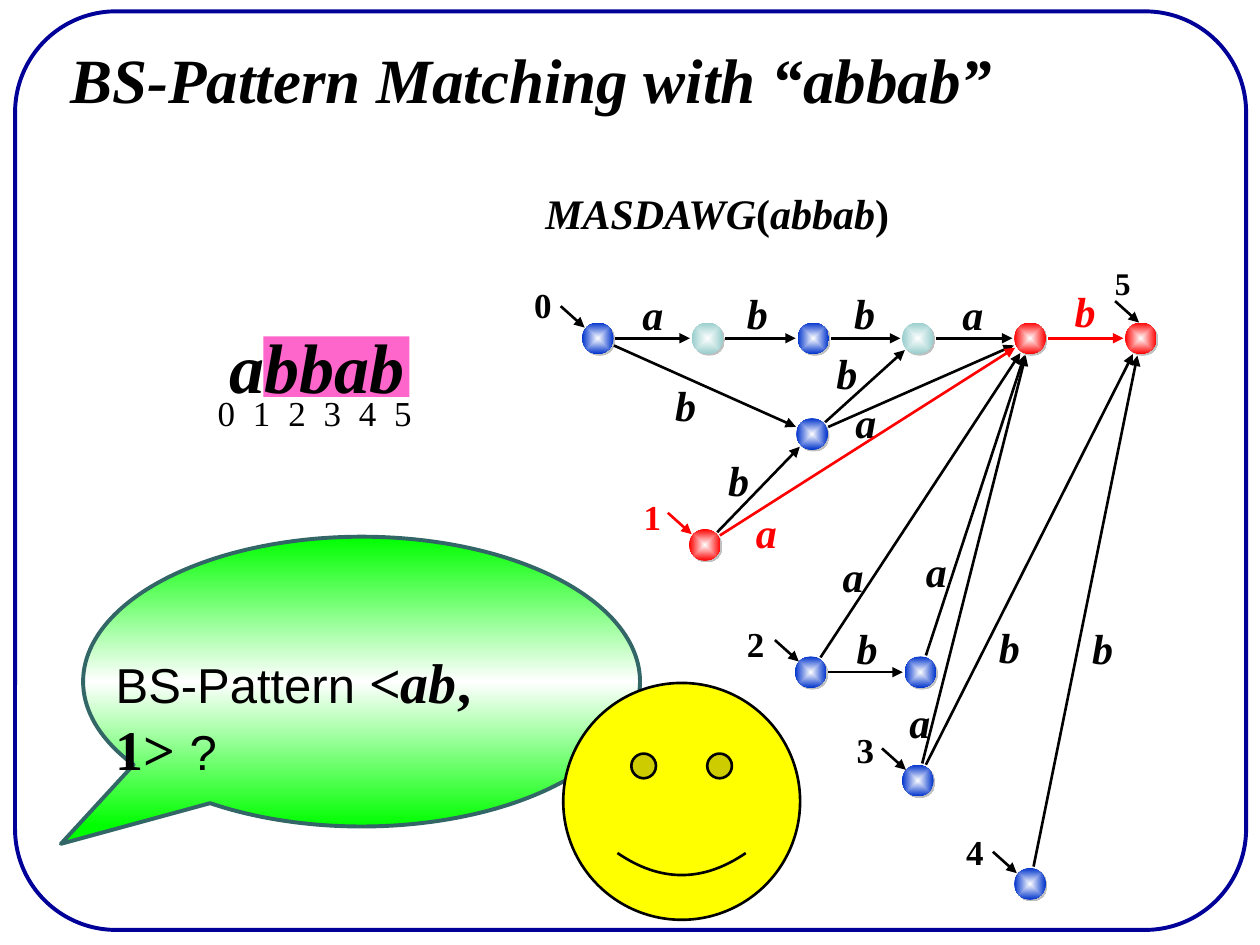
from math import hypot
from lxml.etree import SubElement
from pptx import Presentation
from pptx.dml.color import RGBColor
from pptx.enum.shapes import MSO_CONNECTOR, MSO_SHAPE
from pptx.enum.text import MSO_AUTO_SIZE
from pptx.oxml import parse_xml
from pptx.oxml.ns import nsdecls, qn
from pptx.util import Inches, Pt

BLACK = RGBColor(0, 0, 0)
WHITE = RGBColor(255, 255, 255)
RED = RGBColor(255, 0, 0)
BLUE = RGBColor(0, 0x33, 0xCC)
TEAL = RGBColor(0x97, 0xCD, 0xCC)
NAVY = RGBColor(0, 0, 0x99)
PINK = RGBColor(0xFF, 0x66, 0xCC)
GREEN = RGBColor(0, 255, 0)
SPRUCE = RGBColor(0x33, 0x66, 0x66)
YELLOW = RGBColor(255, 255, 0)
SILVER = RGBColor(0xC0, 0xC0, 0xC0)
SERIF = "Times New Roman"
SANS = "Arial"

COLUMNS, ROWS = 100, 75
NODE = 2.5
GAP = 1.4
TOP_ROW = 25.6

STATES = {
    "start": (46.2, TOP_ROW, BLUE),
    "a": (54.9, TOP_ROW, TEAL),
    "ab": (63.3, TOP_ROW, BLUE),
    "abb": (71.6, TOP_ROW, TEAL),
    "abba": (80.5, TOP_ROW, RED),
    "end": (89.3, TOP_ROW, RED),
    "b": (63.2, 33.2, BLUE),
    "one": (54.7, 42, RED),
    "two": (63.1, 52.1, BLUE),
    "two b": (71.8, 52.1, BLUE),
    "three": (71.6, 60.7, BLUE),
    "four": (80.5, 68.9, BLUE),
}
EDGES = [
    ("start", "a", "a", 50, 22.4, BLACK),
    ("a", "ab", "b", 58.3, 22.3, BLACK),
    ("ab", "abb", "b", 66.8, 22.3, BLACK),
    ("abb", "abba", "a", 75.4, 22.4, BLACK),
    ("start", "b", "b", 52.6, 29.6, BLACK),
    ("b", "abb", "b", 65.4, 27.1, BLACK),
    ("b", "abba", "a", 66.9, 31, BLACK),
    ("one", "b", "b", 56.8, 35.6, BLACK),
    ("two", "abba", "a", 65.9, 43.2, BLACK),
    ("two", "two b", "b", 67, 48.9, BLACK),
    ("two b", "abba", "a", 72.5, 42.8, BLACK),
    ("three", "abba", "a", 71.2, 54.8, BLACK),
    ("three", "end", "b", 78.3, 48.8, BLACK),
    ("four", "end", "b", 85.7, 48.9, BLACK),
    ("one", "abba", "a", 59, 39.7, RED),
    ("abba", "end", "b", 84.3, 22.2, RED),
]
ENTRIES = [
    ("0", "start", 20, -4.8, -3.6, -1.7, BLACK),
    ("1", "one", 20, -4.6, -3.2, -1.7, RED),
    ("2", "two", 20, -4.8, -3.2, -1.6, BLACK),
    ("3", "three", 20, -4.6, -3.4, -1.6, BLACK),
    ("4", "four", 20, -4.8, -3.5, -1.7, BLACK),
    ("5", "end", 18, -1.8, -5.1, -0.8, BLACK),
]


def cells(*values):
    return [Inches(value / 10) for value in values]


def add_figure(page, kind, place, fill=None, line=None, width=1.5, adjust=()):
    shape = page.shapes.add_shape(kind, *cells(*place))
    shape.shadow.inherit = False
    for index, value in enumerate(adjust):
        shape.adjustments[index] = value
    if fill is None:
        shape.fill.background()
    else:
        shape.fill.solid()
        shape.fill.fore_color.rgb = fill
    if line is None:
        shape.line.fill.background()
    else:
        shape.line.color.rgb = line
        shape.line.width = Pt(width)
    return shape


def set_gradient(shape, colours, direction):
    last = len(colours) - 1
    stops = "".join(
        f'<a:gs pos="{100000 * index // last}"><a:srgbClr val="{colour}"/></a:gs>'
        for index, colour in enumerate(colours))
    gradient = parse_xml(
        f'<a:gradFill {nsdecls("a")} rotWithShape="0">'
        f'<a:gsLst>{stops}</a:gsLst>{direction}</a:gradFill>')
    properties = shape._element.spPr
    properties.replace(properties.find(qn("a:solidFill")), gradient)


def add_text(page, place, spans, wrap=False):
    box = page.shapes.add_textbox(*cells(*place))
    frame = box.text_frame
    frame.word_wrap = wrap
    frame.auto_size = MSO_AUTO_SIZE.SHAPE_TO_FIT_TEXT
    para = frame.paragraphs[0]
    for text, size, name, bold, italic, colour in spans:
        span = para.add_run()
        span.text = text
        span.font.size = Pt(size)
        span.font.name = name
        span.font.bold = bold
        span.font.italic = italic
        span.font.color.rgb = colour
    return para


def serif(text, size, bold=True, italic=True, colour=BLACK):
    return text, size, SERIF, bold, italic, colour


def add_arrow(page, start, finish, colour):
    arrow = page.shapes.add_connector(
        MSO_CONNECTOR.STRAIGHT, *cells(*start, *finish))
    arrow.line.color.rgb = colour
    arrow.line.width = Pt(1.5)
    SubElement(arrow.line._get_or_add_ln(), qn("a:tailEnd"), type="triangle")
    SubElement(arrow._element.spPr, qn("a:effectLst"))


def add_state(page, left, top, colour):
    node = add_figure(page, MSO_SHAPE.OVAL, (left, top, NODE, NODE), colour)
    set_gradient(node, [WHITE, colour],
                 '<a:path path="rect"><a:fillToRect l="50000" t="50000" '
                 'r="50000" b="50000"/></a:path>')
    effects = node._element.spPr.find(qn("a:effectLst"))
    shadow = SubElement(effects, qn("a:outerShdw"), dist=str(Pt(1.4)),
                        dir="2700000", algn="ctr", rotWithShape="0")
    SubElement(shadow, qn("a:srgbClr"), val=str(SILVER))


def add_edge(page, source, target, letter, left, top, colour):
    x1, y1 = [value + NODE / 2 for value in STATES[source][:2]]
    x2, y2 = [value + NODE / 2 for value in STATES[target][:2]]
    share = GAP / hypot(x2 - x1, y2 - y1)
    dx, dy = (x2 - x1) * share, (y2 - y1) * share
    add_arrow(page, (x1 + dx, y1 + dy), (x2 - dx, y2 - dy), colour)
    add_text(page, (left, top, 3.6, 5), [serif(letter, 24, colour=colour)])


def add_entry(page, digit, state, size, across, down, tail, colour):
    left, top = STATES[state][:2]
    add_arrow(page, (left + tail, top - 1.3 - max(0, tail + 1.2)),
              (left + tail + 1.9, top + 0.4 - max(0, tail + 1.2)), colour)
    add_text(page, (left + across, top + down, 3.4, size / 5 + 0.4),
             [serif(digit, size, italic=False, colour=colour)])


def add_word(page):
    add_figure(page, MSO_SHAPE.RECTANGLE, (20.9, 26.7, 11.6, 4.8), PINK)
    add_text(page, (17.2, 25.2, 15.9, 7.7), [serif("abbab", 40)])
    para = add_text(page, (16.3, 30.6, 17.6, 4.4),
                    [serif("0\t1\t2\t3\t4\t5", 20, False, False)], True)
    stops = SubElement(para._p.get_or_add_pPr(), qn("a:tabLst"))
    for index in range(1, 6):
        SubElement(stops, qn("a:tab"), pos=str(Inches(0.28) * index), algn="l")


def add_question(page):
    bubble = add_figure(page, MSO_SHAPE.OVAL_CALLOUT, (6.6, 42.6, 44.2, 23),
                        GREEN, SPRUCE, 2.25, (-0.54, 0.56))
    set_gradient(bubble, [GREEN, WHITE, GREEN], '<a:lin ang="5400000" scaled="0"/>')
    add_text(page, (8.2, 50.9, 39.3, 6.4), [
        ("BS-Pattern", 28, SANS, False, False, BLACK),
        serif(" ", 32),
        serif("<", 32, italic=False),
        serif("ab", 32),
        serif(", 1> ", 32, italic=False),
        ("?", 28, SANS, False, False, BLACK),
    ])


def main():
    deck = Presentation()
    deck.slide_width, deck.slide_height = cells(COLUMNS, ROWS)
    page = deck.slides.add_slide(deck.slide_layouts[6])
    add_figure(page, MSO_SHAPE.ROUNDED_RECTANGLE, (1.2, 0.9, 97.7, 72.9),
               line=NAVY, width=2.25, adjust=(0.11,))
    add_text(page, (4.6, 2.7, 75.2, 7),
             [serif("BS-Pattern Matching with “abbab”", 36)])
    add_text(page, (42.3, 14.4, 29.6, 5), [
        serif("MASDAWG", 24), serif("(", 24, italic=False),
        serif("abbab", 24), serif(")", 24, italic=False)])
    add_word(page)
    add_question(page)
    for state in STATES.values():
        add_state(page, *state)
    for edge in EDGES:
        add_edge(page, *edge)
    for entry in ENTRIES:
        add_entry(page, *entry)
    add_figure(page, MSO_SHAPE.SMILEY_FACE, (44.7, 54.2, 18.8, 18.8),
               YELLOW, BLACK, adjust=(0.09,))
    deck.save("out.pptx")


main()
